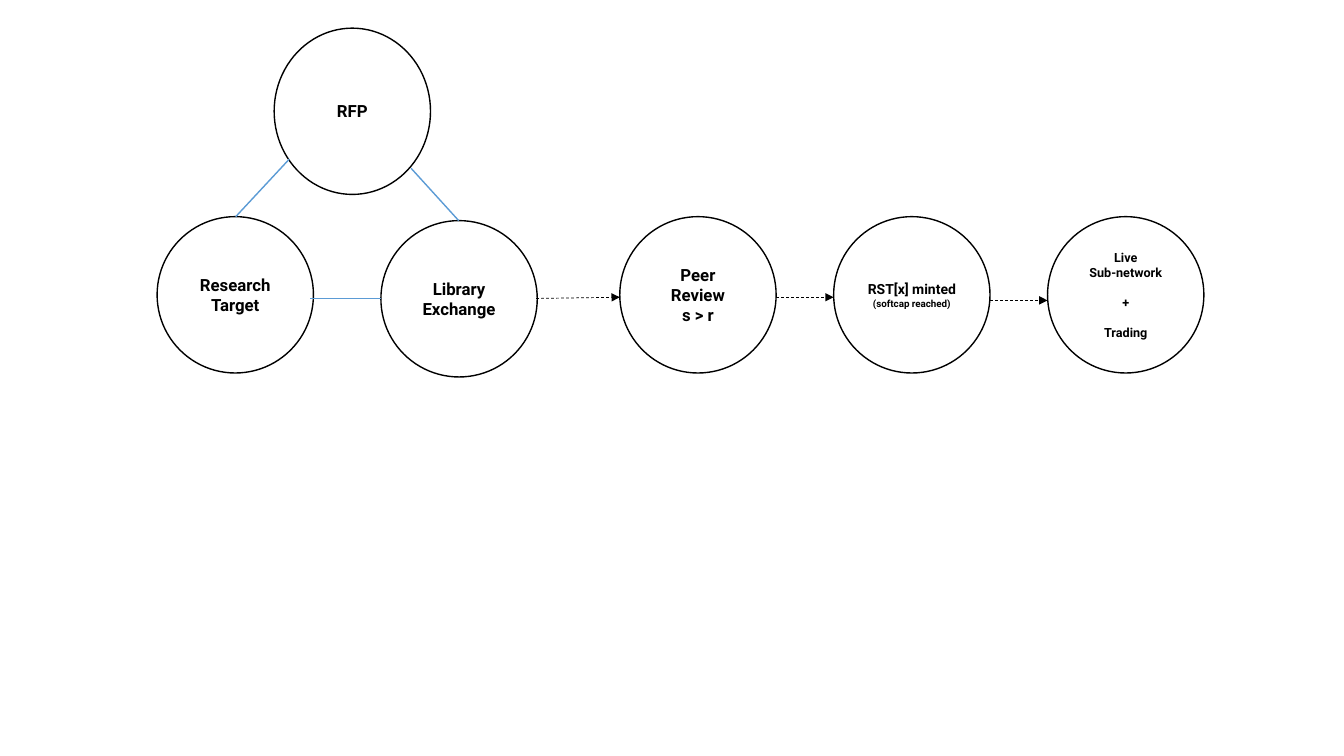
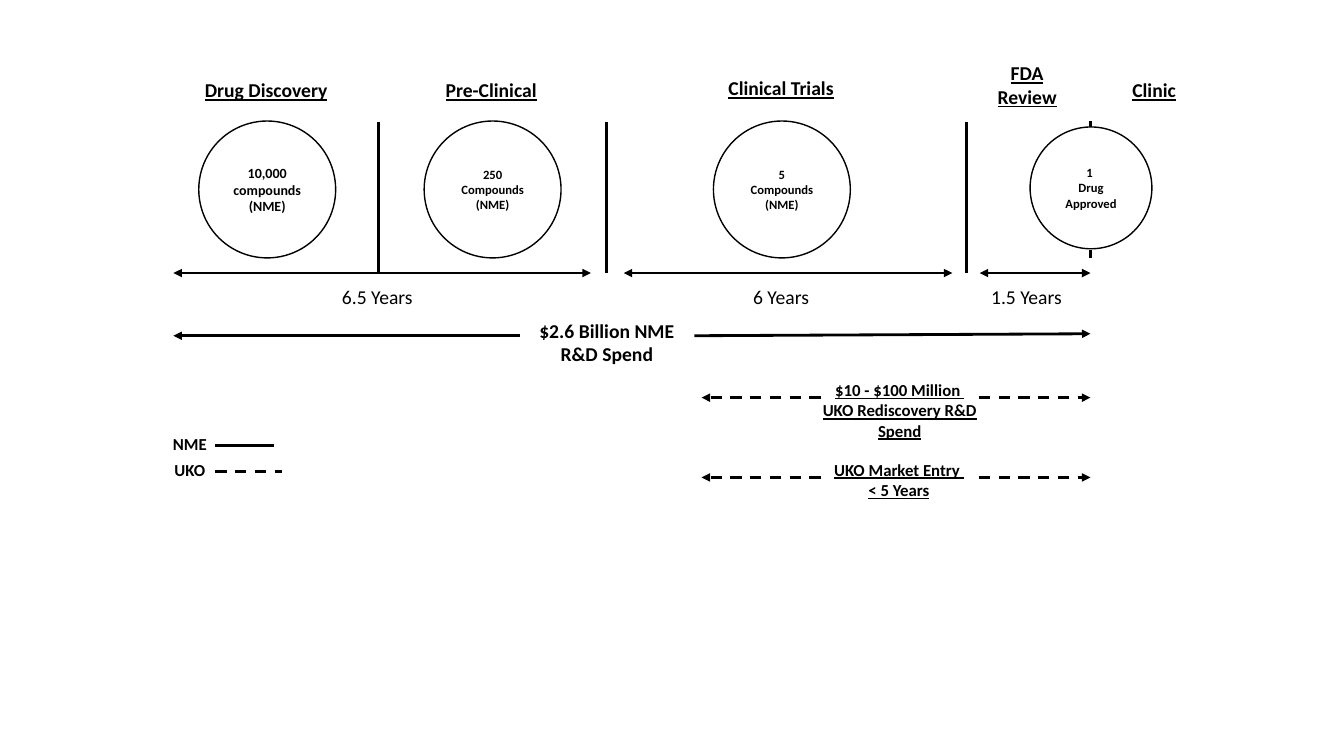
from lxml import etree
from pptx import Presentation
from pptx import util as u
from pptx.dml.color import RGBColor
from pptx.enum import dml, shapes, text
from pptx.oxml.ns import qn

HUES = {"ink": "000000", "link": "5B9BD5"}
FLOW_FONT, TIME_FONT = "Roboto", "Calibri"
DISC = shapes.MSO_SHAPE.FLOWCHART_CONNECTOR
OVAL = shapes.MSO_SHAPE.OVAL


def hue(name):
    return RGBColor.from_string(HUES[name])


# Shared parts
def write(frame, lines, font, size, bold=True, under=False):
    """Each line is a string or (string, size, space before)."""
    frame.word_wrap = True
    for i, line in enumerate(lines):
        words, pts, gap = (line, size, 0) if isinstance(line, str) else line
        para = frame.paragraphs[0] if i == 0 else frame.add_paragraph()
        para.text = words
        para.alignment = text.PP_ALIGN.CENTER
        para.space_before = u.Pt(gap)
        face = para.font
        face.name, face.size, face.bold = font, u.Pt(pts), bold
        face.underline = under
        face.color.rgb = hue("ink")


def label(slide, x, y, w, h, lines, size=14, bold=True, under=False):
    box = slide.shapes.add_textbox(u.Cm(x), u.Cm(y), u.Cm(w), u.Cm(h))
    write(box.text_frame, lines, TIME_FONT, size, bold, under)
    box.text_frame.auto_size = text.MSO_AUTO_SIZE.SHAPE_TO_FIT_TEXT


def ring(slide, kind, x, y, w, h, lines, font, size):
    oval = slide.shapes.add_shape(kind, u.Cm(x), u.Cm(y), u.Cm(w), u.Cm(h))
    oval.shadow.inherit = False
    oval.fill.background()
    oval.line.color.rgb = hue("ink")
    oval.line.width = u.Pt(1)
    oval.text_frame.vertical_anchor = text.MSO_ANCHOR.MIDDLE
    write(oval.text_frame, lines, font, size)


def rule(slide, x1, y1, x2, y2, width=2, tint="ink", dash=False, ends=()):
    line = slide.shapes.add_connector(
        shapes.MSO_CONNECTOR.STRAIGHT, u.Cm(x1), u.Cm(y1), u.Cm(x2), u.Cm(y2))
    line.line.color.rgb = hue(tint)
    line.line.width = u.Pt(width)
    if dash:
        line.line.dash_style = dml.MSO_LINE.DASH
    props = line._element.spPr
    for end in ends:
        etree.SubElement(props.find(qn("a:ln")), qn(f"a:{end}"), type="triangle")
    etree.SubElement(props, qn("a:effectLst"))


TIP = ("tailEnd",)
BOTH = ("headEnd", "tailEnd")


# Slide 1: triangle of inputs, then a row of steps
def inputs(slide, x, y):
    size = 3.94
    for dx, dy, h, lines in [
        (2.95, 0, 4.19, ["RFP"]),
        (0, 4.75, size, ["Research", "Target"]),
        (5.64, 4.85, size, ["Library Exchange"]),
    ]:
        ring(slide, DISC, x + dx, y + dy, size, h, lines, FLOW_FONT, 12)
    for x1, y1, x2, y2 in [
        (6.4, 3.53, 7.6, 4.85),
        (1.98, 4.75, 3.33, 3.3),
        (3.86, 6.81, 5.64, 6.81),
    ]:
        rule(slide, x + x1, y + y1, x + x2, y + y2, 1, "link")


def steps(slide, x, y):
    size, pitch = 3.94, 5.39
    for i, (pts, lines) in enumerate([
        (12, ["Peer Review", "s > r"]),
        (10, ["RST[x] minted ", ("(softcap reached)", 7, 0)]),
        (9, ["Live", "Sub-network", ("+", 9, 10.5), ("Trading", 9, 10.5)]),
    ]):
        ring(slide, DISC, x + i * pitch, y, size, size, lines, FLOW_FONT, pts)
    # Arrow into each step: gap before it, start and end height
    for i, (gap, y1, y2) in enumerate([
        (2.11, 2.06, 2.03), (1.45, 2.03, 2.03), (1.45, 2.11, 2.11),
    ]):
        tip = x + i * pitch
        rule(slide, tip - gap, y + y1, tip, y + y2, 0.5, dash=True, ends=TIP)


# Slide 2: phases with their durations
def phases(slide, x, y):
    base = y + 5.46
    for dx in (5.16, 10.92, 19.99):
        rule(slide, x + dx, base, x + dx, y + 1.65)
    for y1, y2 in [(1.63, 1.78), (4.88, 5.08)]:
        rule(slide, x + 23.11, y + y1, x + 23.11, y + y2)
    for x1, x2 in [(0, 10.52), (11.35, 19.63), (20.32, 23.11)]:
        rule(slide, x + x1, base, x + x2, base, ends=BOTH)

    for dx, dy, w, h, lines in [
        (0.18, 0.43, 4.32, 0.86, ["Drug Discovery"]),
        (6.27, 0.43, 3.48, 0.86, ["Pre-Clinical"]),
        (13.13, 0.38, 4.37, 0.86, ["Clinical Trials"]),
        (20.32, 0, 2.39, 1.45, ["FDA", "Review"]),
        (23.52, 0.43, 2.39, 0.86, ["Clinic"]),
    ]:
        label(slide, x + dx, y + dy, w, h, lines, under=True)

    for dx, w, words in [
        (3.73, 2.82, "6.5 Years"),
        (14.07, 2.49, "6 Years"),
        (19.99, 3.02, "1.5 Years"),
    ]:
        label(slide, x + dx, y + 5.64, w, 0.86, [words], bold=False)

    for dx, dy, size, pts, lines in [
        (0.64, 1.63, 3.45, 10, ["10,000 compounds", "(NME)"]),
        (6.32, 1.63, 3.45, 9, ["250 Compounds", "(NME)"]),
        (13.61, 1.63, 3.45, 9, ["5", "Compounds", "(NME)"]),
        (21.59, 1.78, 3.07, 9, ["1 ", "Drug Approved"]),
    ]:
        ring(slide, OVAL, x + dx, y + dy, size, size, lines, TIME_FONT, pts)


# Text between two outward arrows
def span(slide, x, y, wide, inner, outer, drop, dash=False, rise=0):
    rule(slide, x + inner[0], y + drop, x, y + drop, dash=dash, ends=TIP)
    rule(slide, x + inner[1], y + drop, x + outer, y + drop - rise,
         dash=dash, ends=TIP)
    dx, w, h, lines, pts = wide
    label(slide, x + dx, y, w, h, lines, pts, under=dash)


def legend(slide, x, y):
    for i, (words, end) in enumerate([("NME", 2.95), ("UKO", 3.15)]):
        top = y + i * 0.66
        label(slide, x, top, 1.65, 0.76, [words], 12)
        rule(slide, x + 1.47, top + 0.43, x + end, top + 0.43, dash=i == 1)


def main():
    deck = Presentation()
    deck.slide_width, deck.slide_height = u.Cm(33.87), u.Cm(19.05)
    blank = deck.slide_layouts[6]

    flow = deck.slides.add_slide(blank)
    inputs(flow, 3.96, 0.71)
    steps(flow, 15.62, 5.46)

    time = deck.slides.add_slide(blank)
    phases(time, 4.37, 1.42)
    span(time, 4.37, 7.9,
         (8.74, 4.37, 1.45, ["$2.6 Billion NME R&D Spend"], 14),
         (8.74, 13.13), 23.11, 0.56, rise=0.05)
    for y, wide in [
        (9.45, (2.44, 5.11, 1.8,
                ["$10 - $100 Million ", "UKO Rediscovery R&D Spend"], 12)),
        (11.46, (2.79, 4.37, 1.27, ["UKO Market Entry ", "< 5 Years"], 12)),
    ]:
        span(time, 17.68, y, wide, (3, 6.99), 9.8, 0.57, dash=True)
    legend(time, 3.96, 10.8)

    deck.save("out.pptx")


if __name__ == "__main__":
    main()
